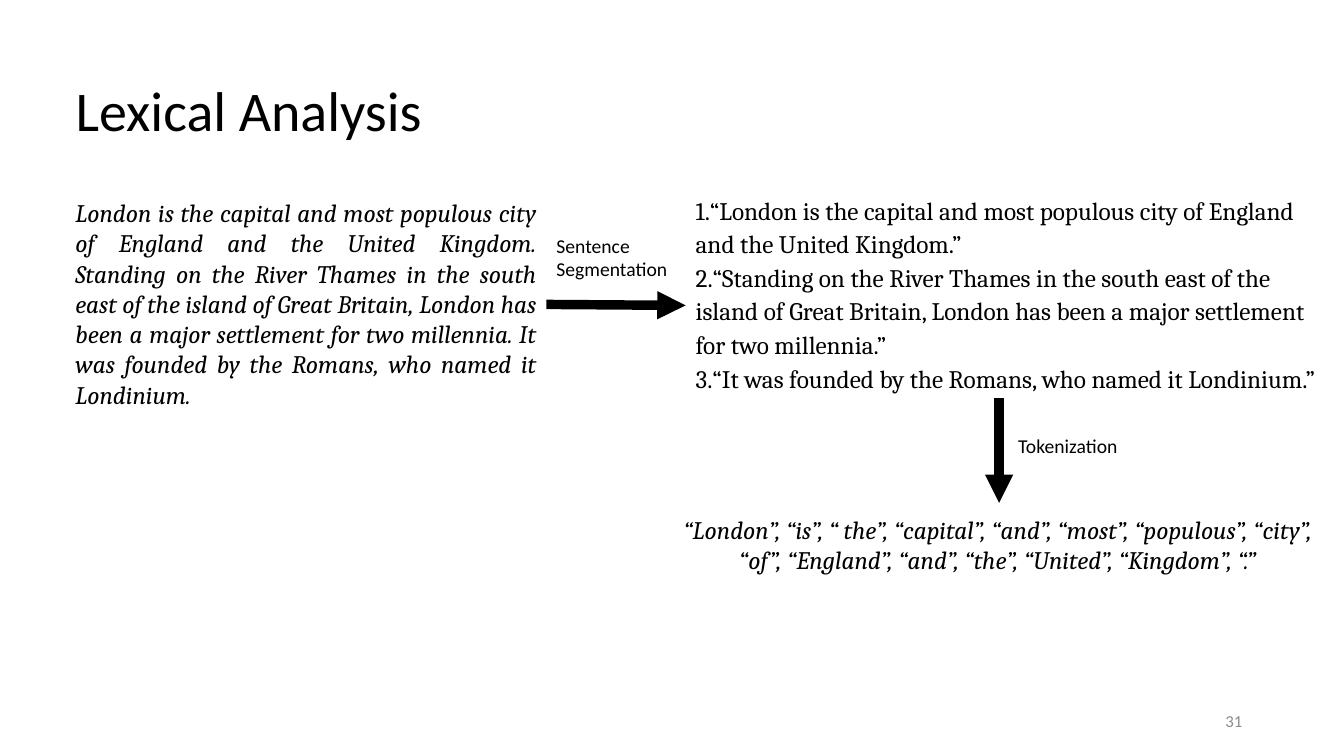
from dataclasses import dataclass

from lxml import etree
from pptx import Presentation
from pptx import util as u
from pptx.dml.color import RGBColor
from pptx.enum import shapes, text
from pptx.oxml import ns

BLACK = RGBColor(0x00, 0x00, 0x00)
GRAY = RGBColor(0x8C, 0x8C, 0x8C)
WIDTH, HEIGHT = u.Inches(13.33), u.Inches(7.5)
ALIGN, ANCHOR = text.PP_ALIGN, text.MSO_ANCHOR

SENTENCES = (
    "“London is the capital and most populous city of England and the United Kingdom.”",
    "“Standing on the River Thames in the south east of the island of Great Britain, "
    "London has been a major settlement for two millennia.”",
    "“It was founded by the Romans, who named it Londinium.”",
)
PASSAGE = (
    "London is the capital and most populous city of England and the United Kingdom. "
    "Standing on the River Thames in the south east of the island of Great Britain, "
    "London has been a major settlement for two millennia. "
    "It was founded by the Romans, who named it Londinium."
)
TOKENS = (
    "“London”, “is”, “ the”, “capital”, “and”, “most”, “populous”, “city”, "
    "“of”, “England”, “and”, “the”, “United”, “Kingdom”, “.”"
)


@dataclass(frozen=True)
class Area:
    """A rectangle in percent of the slide's width and height."""
    left: float
    top: float
    width: float
    height: float


@dataclass(frozen=True)
class Style:
    font: str
    size: int
    color: RGBColor = BLACK
    italic: bool = False
    align: ALIGN = ALIGN.LEFT
    anchor: ANCHOR = ANCHOR.TOP
    spacing: float | u.Pt = 1.0


@dataclass(frozen=True)
class Block:
    words: str
    area: Area
    style: Style


@dataclass(frozen=True)
class Arrow:
    """Start and end points in percent of the slide's width and height."""
    start: tuple[float, float]
    end: tuple[float, float]


TITLE = Block("Lexical Analysis", Area(4.88, 5.33, 95.12, 19.33),
              Style("Calibri", 40, anchor=ANCHOR.MIDDLE, spacing=0.9))
SENTENCE_LIST = Block("\n".join(SENTENCES), Area(51.01, 24.67, 48.99, 28),
                      Style("Cambria", 18, spacing=u.Pt(24)))
PASSAGE_BLOCK = Block(PASSAGE, Area(4.88, 25.47, 35.78, 29.6),
                      Style("Cambria", 18, italic=True, align=ALIGN.JUSTIFY))
STEP = Style("Calibri", 14)
OTHER_BLOCKS = (
    Block("Sentence Segmentation", Area(40.66, 30.27, 10.35, 7.6), STEP),
    Block("Tokenization", Area(75.02, 56.67, 9.6, 4.53), STEP),
    Block(TOKENS, Area(49.74, 67.33, 48.99, 9.47),
          Style("Cambria", 18, italic=True, align=ALIGN.CENTER)),
    Block("31", Area(70.67, 92.67, 22.51, 5.33),
          Style("Calibri", 12, GRAY, align=ALIGN.RIGHT, anchor=ANCHOR.MIDDLE)),
)
SEGMENTATION = Arrow((40.66, 40.27), (51.01, 40.4))
TOKENIZATION = Arrow((74.34, 52.67), (74.34, 66.53))


def across(percent: float) -> int:
    return round(WIDTH * percent / 100)


def down(percent: float) -> int:
    return round(HEIGHT * percent / 100)


def fill_box(box, block: Block) -> None:
    """Place a text box or placeholder, then write and format its text."""
    area, style = block.area, block.style
    box.left, box.top = across(area.left), down(area.top)
    box.width, box.height = across(area.width), down(area.height)
    frame = box.text_frame
    frame.text = block.words
    frame.word_wrap = True
    frame.auto_size = text.MSO_AUTO_SIZE.NONE
    frame.vertical_anchor = style.anchor
    for para in frame.paragraphs:
        para.alignment = style.align
        para.line_spacing = style.spacing
        para.space_before = u.Pt(0)
        for span in para.runs:
            span.font.name = style.font
            span.font.size = u.Pt(style.size)
            span.font.italic = style.italic
            span.font.color.rgb = style.color


def number_paragraphs(box) -> None:
    for para in box.text_frame.paragraphs:
        properties = para._p.get_or_add_pPr()
        properties.set("marL", "0")
        properties.set("indent", "0")
        etree.SubElement(properties, ns.qn("a:buFont"), typeface="+mj-lt")
        etree.SubElement(properties, ns.qn("a:buAutoNum"), type="arabicPeriod")


def add_text(page, block: Block):
    box = page.shapes.add_textbox(0, 0, 0, 0)
    fill_box(box, block)
    return box


def add_arrow(page, arrow: Arrow):
    (x1, y1), (x2, y2) = arrow.start, arrow.end
    line = page.shapes.add_connector(shapes.MSO_CONNECTOR.STRAIGHT,
                                     across(x1), down(y1), across(x2), down(y2))
    line.line.color.rgb = BLACK
    line.line.width = u.Pt(6.75)
    etree.SubElement(line.line._get_or_add_ln(), ns.qn("a:tailEnd"), type="triangle")
    etree.SubElement(line._element.spPr, ns.qn("a:effectLst"))
    return line


def main() -> None:
    deck = Presentation()
    deck.slide_width, deck.slide_height = WIDTH, HEIGHT
    page = deck.slides.add_slide(deck.slide_layouts.get_by_name("Title and Content"))

    fill_box(page.shapes.title, TITLE)
    sentence_list = page.placeholders[1]
    fill_box(sentence_list, SENTENCE_LIST)
    number_paragraphs(sentence_list)

    passage = add_text(page, PASSAGE_BLOCK)
    add_arrow(page, SEGMENTATION).begin_connect(passage, 3)
    add_arrow(page, TOKENIZATION)
    for block in OTHER_BLOCKS:
        add_text(page, block)

    deck.save("out.pptx")


if __name__ == "__main__":
    main()
